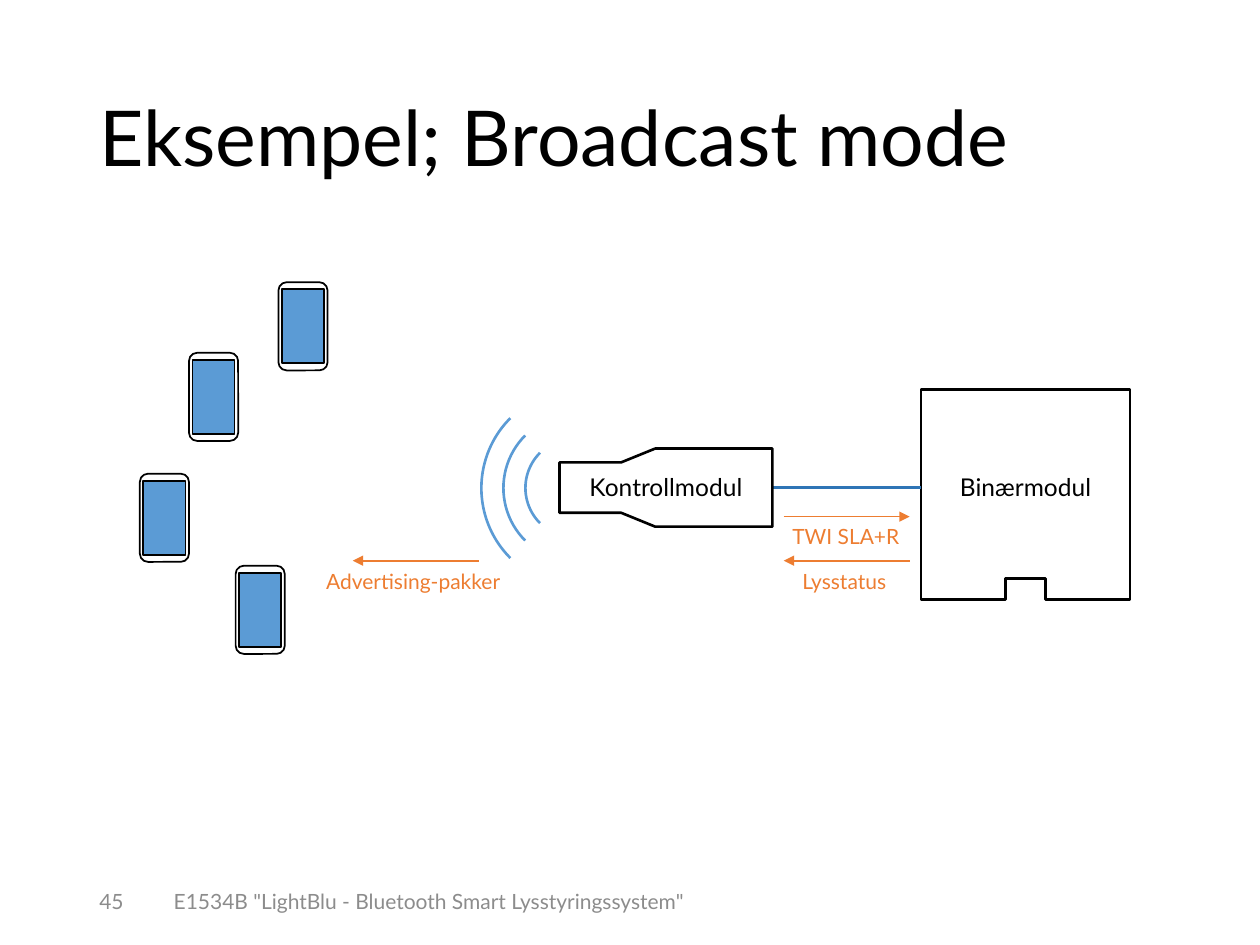
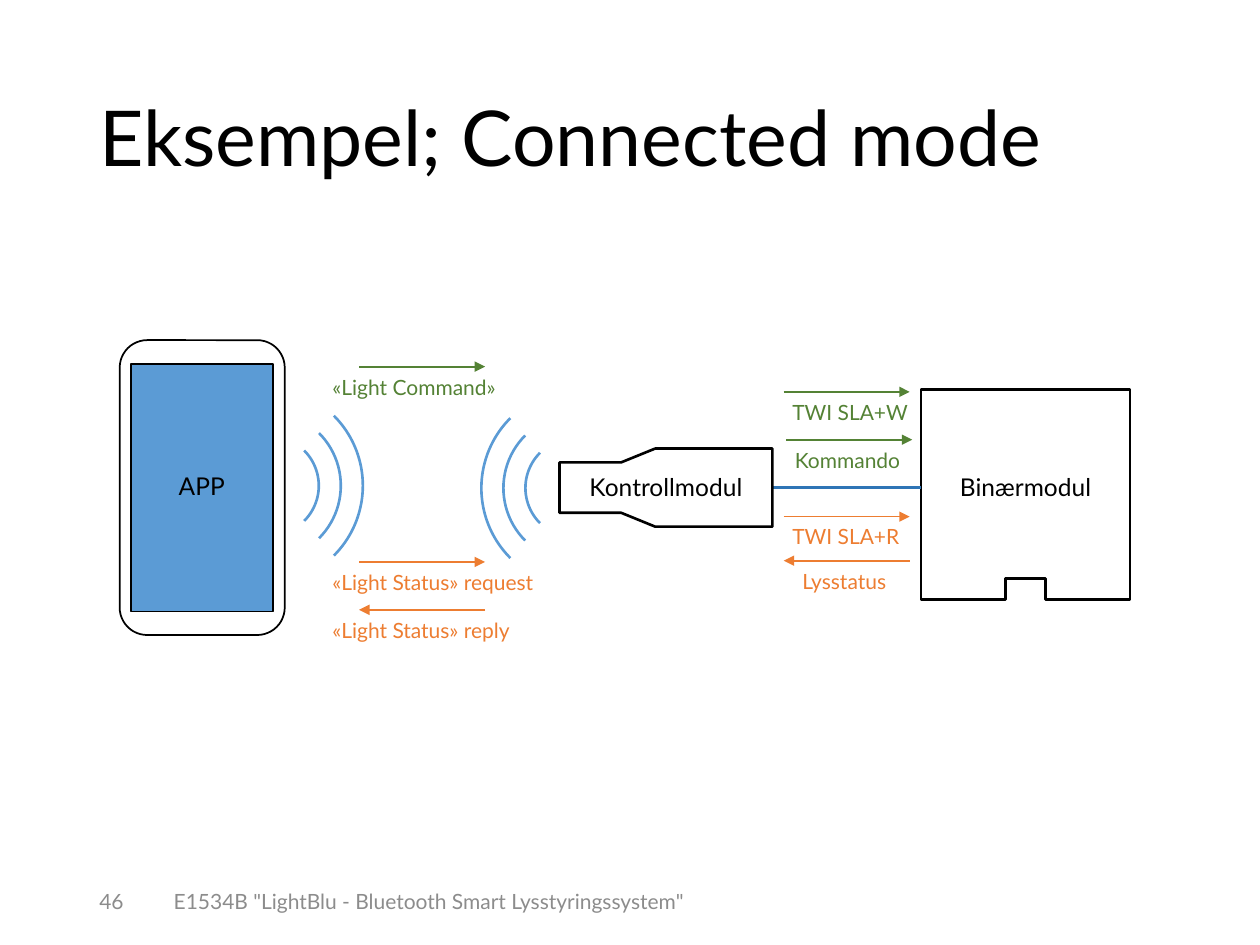
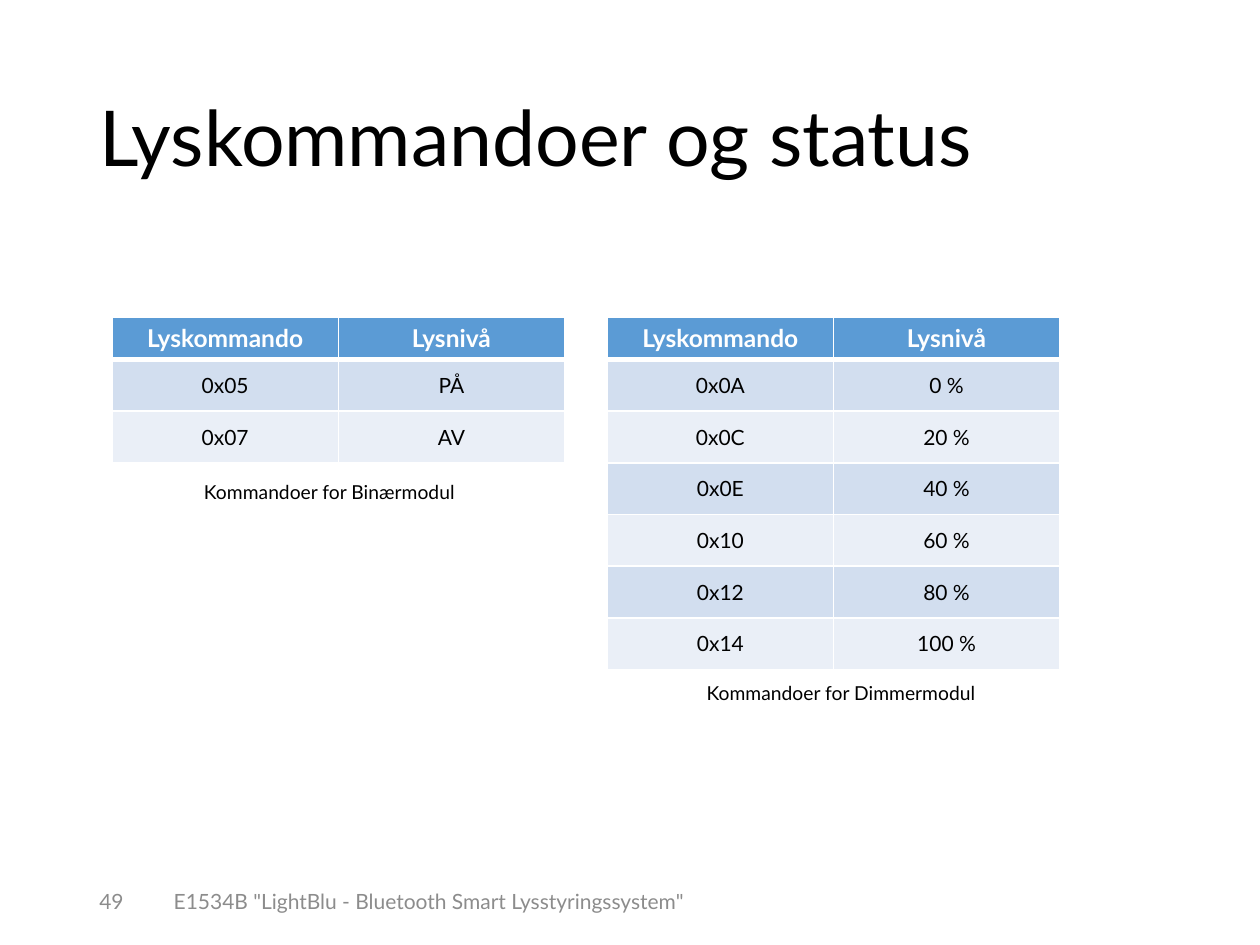
from dataclasses import dataclass

from lxml.etree import SubElement
from pptx import Presentation
from pptx.dml.color import RGBColor as Rgb
from pptx.enum.shapes import MSO_CONNECTOR as Connector, MSO_SHAPE as Preset
from pptx.enum.text import MSO_ANCHOR as Anchor, PP_ALIGN as Align
from pptx.oxml.ns import qn
from pptx.slide import Slide
from pptx.util import Inches, Pt

# Grid: 100 columns by 75 rows on a 10 x 7.5 inch slide
COLUMNS, ROWS = 100, 75
WIDTH, HEIGHT = Inches(10), Inches(7.5)


@dataclass(frozen=True)
class Theme:
    font: str = "Lato"
    ink: str = "000000"
    paper: str = "FFFFFF"
    muted: str = "8C8C8C"
    blue: str = "5B9BD5"
    wire: str = "2E75B6"
    status: str = "ED7D31"
    command: str = "548235"
    bands: tuple[str, str] = ("D2DEEF", "EAEFF7")
    title_size: float = 44
    module_size: float = 14
    label_size: float = 12
    caption_size: float = 11
    thin: float = 1
    medium: float = 1.5
    thick: float = 3


THEME = Theme()


@dataclass(frozen=True)
class Box:
    col: float
    row: float
    cols: float
    rows: float


@dataclass(frozen=True)
class Message:
    """An arrow with its label just below; indent runs from arrow to label box."""
    text: str
    col: float
    row: float
    indent: float
    cols: float
    color: str
    backward: bool = False


@dataclass(frozen=True)
class Waves:
    """Three arcs that widen away from their sender."""
    col: float
    row: float
    drift: float
    rotation: int


@dataclass(frozen=True)
class CodeTable:
    col: float
    codes: tuple[tuple[str, str], ...]
    caption: str
    caption_box: Box


# Content
FOOTER = 'E1534B "LightBlu - Bluetooth Smart Lysstyringssystem"'
HEADINGS = ("Lyskommando", "Lysnivå")
ARROW_COLS = 10

MODULE_BOX = Box(73.1, 36.97, 16.6, 3.4)
MODULE_OUTLINE = ((73.1, 30.9), (89.7, 30.9), (89.7, 47.6), (83, 47.6),
                  (83, 45.9), (79.8, 45.9), (79.8, 47.6), (73.1, 47.6))
CONTROLLER_BOX = Box(45.8, 36.97, 16.8, 3.4)
CONTROLLER_OUTLINE = ((52, 35.6), (61.3, 35.6), (61.3, 41.8), (52, 41.8),
                      (49.3, 40.7), (44.4, 40.7), (44.4, 36.7), (49.3, 36.7))

CONTROLLER_WAVES = Waves(45.65, 38.73, 0.2, 225)
PHONE_WAVES = Waves(21.35, 38.55, -0.2, 45)

SMALL_PHONES = tuple(Box(col, row, 3.9, 7)
                     for col, row in ((22.1, 22.4), (15, 28), (11.1, 37.6), (18.7, 44.9)))
APP_PHONE = Box(9.5, 27, 13.1, 23.4)

READ_MESSAGES = (
    Message("TWI SLA+R", 62.2, 41, -0.3, 10.5, THEME.status),
    Message("Lysstatus", 62.2, 44.5, 0.5, 8.9, THEME.status, backward=True),
)
BROADCAST_MESSAGES = (
    Message("Advertising-pakker", 28, 44.5, -3.1, 16.2, THEME.status, backward=True),
)
CONNECTED_MESSAGES = (
    Message("«Light Command»", 28.5, 29.1, -3.1, 15.1, THEME.command),
    Message("«Light Status» request", 28.5, 44.6, -3.1, 18.3, THEME.status),
    Message("«Light Status» reply", 28.5, 48.4, -3.1, 16.4, THEME.status, backward=True),
    Message("TWI SLA+W", 62.2, 31.1, -0.3, 11.2, THEME.command),
    Message("Kommando", 62.4, 34.9, -0.3, 10.5, THEME.command),
)

CODE_TABLES = (
    CodeTable(8.9, (("0x05", "PÅ"), ("0x07", "AV")),
              "Kommandoer for Binærmodul", Box(15.2, 37.6, 22.2, 2.9)),
    CodeTable(48.2, (("0x0A", "0 %"), ("0x0C", "20 %"), ("0x0E", "40 %"),
                     ("0x10", "60 %"), ("0x12", "80 %"), ("0x14", "100 %")),
              "Kommandoer for Dimmermodul", Box(55.1, 53.6, 23.5, 2.9)),
)


# Grid and formatting helpers
def x(col: float) -> int:
    return round(WIDTH * col / COLUMNS)


def y(row: float) -> int:
    return round(HEIGHT * row / ROWS)


def place(box: Box) -> tuple[int, int, int, int]:
    return x(box.col), y(box.row), x(box.cols), y(box.rows)


def write(frame, text: str, *, size: float, color: str = THEME.ink, bold: bool = False,
          align=Align.LEFT, spacing: float = 1) -> None:
    paragraph = frame.paragraphs[0]
    paragraph.alignment = align
    paragraph.line_spacing = spacing
    run = paragraph.add_run()
    run.text = text
    run.font.name = THEME.font
    run.font.size = Pt(size)
    run.font.bold = bold
    run.font.color.rgb = Rgb.from_string(color)


def add_text(slide: Slide, box: Box, text: str, *, anchor=Anchor.TOP,
             wrap: bool = True, **style) -> None:
    frame = slide.shapes.add_textbox(*place(box)).text_frame
    frame.word_wrap = wrap
    frame.vertical_anchor = anchor
    write(frame, text, **style)


def paint(shape, line: str, weight: float, fill: str | None = None) -> None:
    shape.shadow.inherit = False
    shape.line.color.rgb = Rgb.from_string(line)
    shape.line.width = Pt(weight)
    if fill:
        shape.fill.solid()
        shape.fill.fore_color.rgb = Rgb.from_string(fill)
    else:
        shape.fill.background()


def add_preset(slide: Slide, preset: Preset, box: Box, line: str, weight: float,
               fill: str | None = None, rotation: float = 0) -> None:
    shape = slide.shapes.add_shape(preset, *place(box))
    shape.rotation = rotation
    paint(shape, line, weight, fill)


def add_line(slide: Slide, start: float, end: float, row: float, color: str,
             weight: float, arrow: bool = False) -> None:
    line = slide.shapes.add_connector(Connector.STRAIGHT, x(start), y(row), x(end), y(row))
    line.line.color.rgb = Rgb.from_string(color)
    line.line.width = Pt(weight)
    if arrow:
        SubElement(line.line._get_or_add_ln(), qn("a:tailEnd"), type="triangle")
    SubElement(line._element.spPr, qn("a:effectLst"))


# Diagram parts
def draw_outline(slide: Slide, points: tuple[tuple[float, float], ...]) -> None:
    corners = [(x(col), y(row)) for col, row in points]
    builder = slide.shapes.build_freeform(*corners[0])
    builder.add_line_segments(corners[1:], close=True)
    paint(builder.convert_to_shape(), THEME.ink, THEME.medium, THEME.paper)


def draw_phone(slide: Slide, body: Box) -> None:
    screen = Box(body.col + 0.07 * body.cols, body.row + 0.08 * body.rows,
                 0.86 * body.cols, 0.84 * body.rows)
    add_preset(slide, Preset.ROUNDED_RECTANGLE, body, THEME.ink, THEME.thin, THEME.paper)
    add_preset(slide, Preset.RECTANGLE, screen, THEME.ink, THEME.thin, THEME.blue)


def draw_waves(slide: Slide, waves: Waves) -> None:
    for ring in range(3):
        size = 7.9 + 3.9 * ring
        circle = Box(waves.col + waves.drift * ring - size / 2, waves.row - size / 2, size, size)
        add_preset(slide, Preset.ARC, circle, THEME.blue, THEME.medium, rotation=waves.rotation)


def draw_message(slide: Slide, message: Message) -> None:
    start, end = message.col, message.col + ARROW_COLS
    if message.backward:
        start, end = end, start
    add_line(slide, start, end, message.row, message.color, THEME.thin, arrow=True)
    add_text(slide, Box(message.col + message.indent, message.row + 0.1, message.cols, 3),
             message.text, wrap=False, size=THEME.label_size, color=message.color)


def draw_system(slide: Slide, messages: tuple[Message, ...]) -> None:
    """The light module, its controller and the traffic around them."""
    draw_outline(slide, MODULE_OUTLINE)
    add_text(slide, MODULE_BOX, "Binærmodul", size=THEME.module_size, align=Align.CENTER)
    add_line(slide, 61.3, 73.1, 38.7, THEME.wire, THEME.medium)
    draw_outline(slide, CONTROLLER_OUTLINE)
    add_text(slide, CONTROLLER_BOX, "Kontrollmodul", size=THEME.module_size)
    draw_waves(slide, CONTROLLER_WAVES)
    for message in READ_MESSAGES + messages:
        draw_message(slide, message)


# Tables
def draw_borders(cell, **weights: float) -> None:
    """Border elements come before the fill in the cell properties."""
    properties = cell._tc.get_or_add_tcPr()
    for index, side in enumerate(("L", "R", "T", "B")):
        weight = weights.get(side, THEME.thin)
        border = SubElement(properties, qn(f"a:ln{side}"), w=str(Pt(weight)))
        fill = SubElement(border, qn("a:solidFill"))
        SubElement(fill, qn("a:srgbClr"), val=THEME.paper)
        properties.insert(index, border)


def draw_code_table(slide: Slide, content: CodeTable) -> None:
    lines = (HEADINGS, *content.codes)
    header_rows, body_rows = 3.2, 4.1
    box = Box(content.col, 25.2, 35.9, header_rows + body_rows * len(content.codes))
    table = slide.shapes.add_table(len(lines), len(HEADINGS), *place(box)).table
    for index, line in enumerate(lines):
        header = index == 0
        table.rows[index].height = y(header_rows if header else body_rows)
        for cell, text in zip(table.rows[index].cells, line):
            cell.fill.solid()
            cell.fill.fore_color.rgb = Rgb.from_string(
                THEME.blue if header else THEME.bands[(index - 1) % 2])
            cell.vertical_anchor = Anchor.TOP if header else Anchor.MIDDLE
            draw_borders(cell, B=THEME.thick if header else THEME.thin,
                         T=THEME.thick if index == 1 else THEME.thin)
            write(cell.text_frame, text, bold=header, align=Align.CENTER,
                  size=THEME.module_size if header else THEME.label_size,
                  color=THEME.paper if header else THEME.ink)
    add_text(slide, content.caption_box, content.caption, size=THEME.caption_size)


# Slides
def add_slide(deck, title: str, number: int) -> Slide:
    slide = deck.slides.add_slide(deck.slide_layouts[6])
    add_text(slide, Box(6.9, 4, 86.2, 14.5), title, anchor=Anchor.MIDDLE,
             size=THEME.title_size, spacing=0.9)
    for box, text in ((Box(12.8, 69.5, 44.5, 4), FOOTER), (Box(6.9, 69.5, 6, 4), str(number))):
        add_text(slide, box, text, anchor=Anchor.MIDDLE,
                 size=THEME.label_size, color=THEME.muted)
    return slide


def main() -> None:
    deck = Presentation()
    deck.slide_width, deck.slide_height = WIDTH, HEIGHT

    broadcast = add_slide(deck, "Eksempel; Broadcast mode", 45)
    draw_system(broadcast, BROADCAST_MESSAGES)
    for phone in SMALL_PHONES:
        draw_phone(broadcast, phone)

    connected = add_slide(deck, "Eksempel; Connected mode", 46)
    draw_phone(connected, APP_PHONE)
    add_text(connected, Box(13.2, 36.9, 5.8, 3.4), "APP", size=THEME.module_size)
    draw_waves(connected, PHONE_WAVES)
    draw_system(connected, CONNECTED_MESSAGES)

    commands = add_slide(deck, "Lyskommandoer og status", 49)
    for content in CODE_TABLES:
        draw_code_table(commands, content)

    deck.save("out.pptx")


if __name__ == "__main__":
    main()
